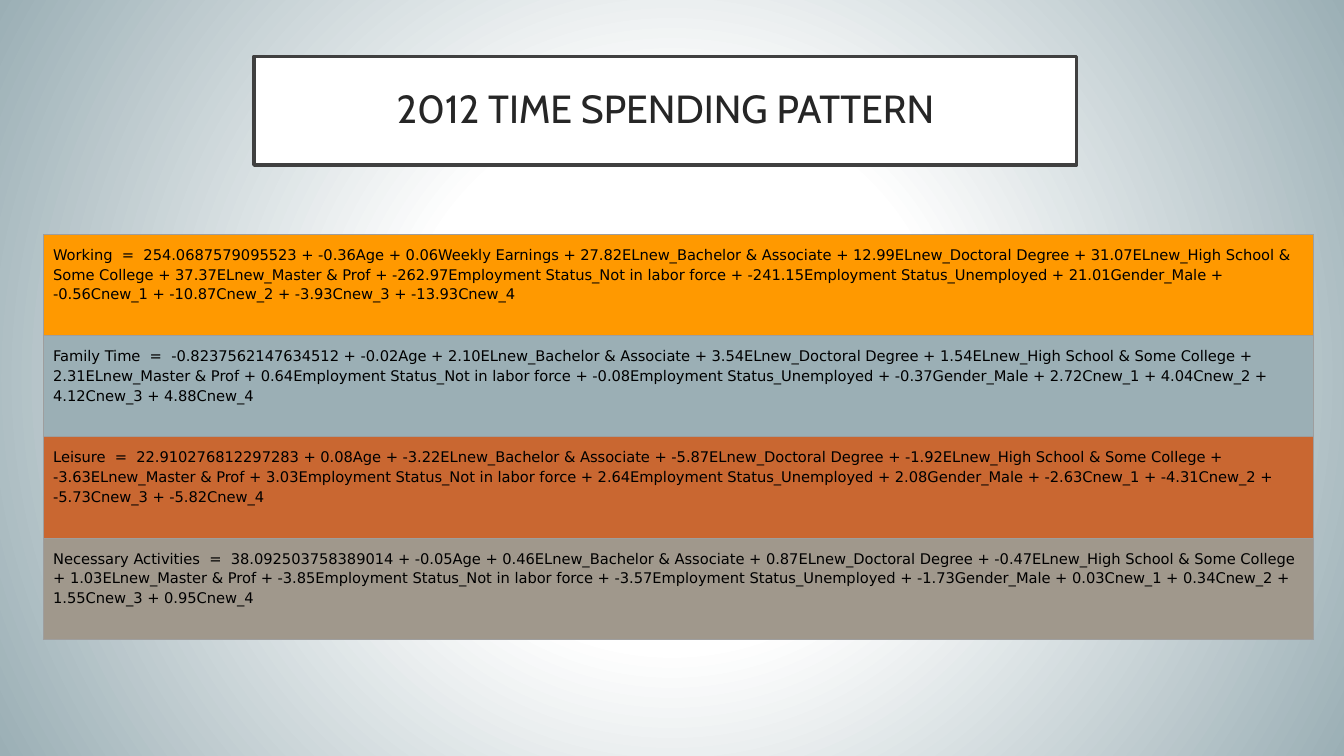
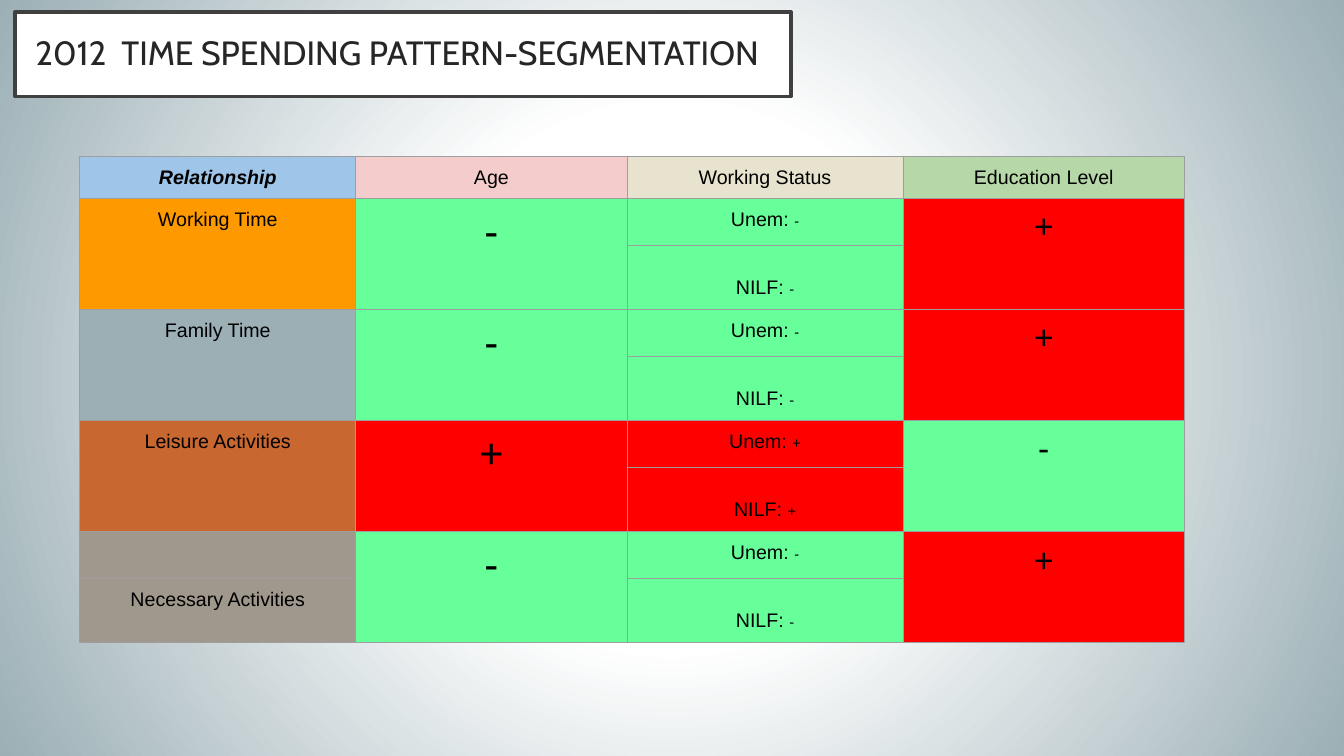
from lxml import etree
from pptx import Presentation, util as u
from pptx.dml.color import RGBColor
from pptx.enum import text
from pptx.oxml import parse_xml
from pptx.oxml.ns import nsdecls, qn

WHITE, BLACK, INK, FRAME, GRID = "FFFFFF", "000000", "262626", "404040", "9E9E9E"
ORANGE, MIST, RUST, STONE = "FF9900", "9BAFB5", "C96731", "A0988C"
SIGN_FILLS = {"-": "66FF99", "+": "FF0000"}
CENTER, LEFT = text.PP_ALIGN.CENTER, text.PP_ALIGN.LEFT
NILF_TOP = u.Cm(0.79)

EQUATIONS = [
    ("Working  =  254.0687579095523 + -0.36Age + 0.06Weekly Earnings + "
     "27.82ELnew_Bachelor & Associate + 12.99ELnew_Doctoral Degree + "
     "31.07ELnew_High School & Some College + 37.37ELnew_Master & Prof + "
     "-262.97Employment Status_Not in labor force + -241.15Employment Status_Unemployed + "
     "21.01Gender_Male + -0.56Cnew_1 + -10.87Cnew_2 + -3.93Cnew_3 + -13.93Cnew_4", ORANGE),
    ("Family Time  =  -0.8237562147634512 + -0.02Age + "
     "2.10ELnew_Bachelor & Associate + 3.54ELnew_Doctoral Degree + "
     "1.54ELnew_High School & Some College + 2.31ELnew_Master & Prof + "
     "0.64Employment Status_Not in labor force + -0.08Employment Status_Unemployed + "
     "-0.37Gender_Male + 2.72Cnew_1 + 4.04Cnew_2 + 4.12Cnew_3 + 4.88Cnew_4", MIST),
    ("Leisure  =  22.910276812297283 + 0.08Age + "
     "-3.22ELnew_Bachelor & Associate + -5.87ELnew_Doctoral Degree + "
     "-1.92ELnew_High School & Some College + -3.63ELnew_Master & Prof + "
     "3.03Employment Status_Not in labor force + 2.64Employment Status_Unemployed + "
     "2.08Gender_Male + -2.63Cnew_1 + -4.31Cnew_2 + -5.73Cnew_3 + -5.82Cnew_4", RUST),
    ("Necessary Activities  =  38.092503758389014 + -0.05Age + "
     "0.46ELnew_Bachelor & Associate + 0.87ELnew_Doctoral Degree + "
     "-0.47ELnew_High School & Some College + 1.03ELnew_Master & Prof + "
     "-3.85Employment Status_Not in labor force + -3.57Employment Status_Unemployed + "
     "-1.73Gender_Male + 0.03Cnew_1 + 0.34Cnew_2 + 1.55Cnew_3 + 0.95Cnew_4", STONE),
]
HEADERS = [("Relationship", "9FC5E8"), ("Age", "F4CCCC"),
           ("Working Status", "E8E3CE"), ("Education Level", "B6D7A8")]
# activity, fill, then the signs for age, working status and education
ACTIVITIES = [("Working Time", ORANGE, "-", "-", "+"),
              ("Family Time", MIST, "-", "-", "+"),
              ("Leisure Activities", RUST, "+", "+", "-"),
              ("Necessary Activities", STONE, "-", "-", "+")]


def color(value):
    return RGBColor.from_string(value)


def apply(target, values):
    for name, value in values.items():
        setattr(target, name, value)


class Slides:
    """Holds the deck, its shared style and the current slide."""

    title_frame = dict(dict.fromkeys(
        ("margin_left", "margin_right", "margin_top", "margin_bottom"), u.Cm(0.51)),
        vertical_anchor=text.MSO_ANCHOR.MIDDLE, word_wrap=True,
        auto_size=text.MSO_AUTO_SIZE.NONE)
    cell_margins = dict.fromkeys(
        ("margin_left", "margin_right", "margin_top", "margin_bottom"), u.Cm(0.25))

    def __init__(self):
        self.deck = Presentation()
        apply(self.deck, {"slide_width": u.Cm(33.87), "slide_height": u.Cm(19.05)})
        self.page = None
        self.set_background()

    def set_background(self):
        """Give the master a white centre that fades outwards to blue grey."""
        master = self.deck.slide_master
        master.background.fill.solid()
        stops = "".join(
            f'<a:gs pos="{place * 1000}"><a:srgbClr val="{value}"/></a:gs>'
            for place, value in ((0, WHITE), (35, WHITE), (100, MIST)))
        gradient = parse_xml(
            f'<a:gradFill {nsdecls("a")} rotWithShape="1"><a:gsLst>{stops}</a:gsLst>'
            '<a:path path="circle"><a:fillToRect l="50000" t="50000" r="50000" b="50000"/>'
            '</a:path></a:gradFill>')
        properties = master.element.find(".//" + qn("p:bgPr"))
        properties.replace(properties[0], gradient)

    def add_page(self):
        self.page = self.deck.slides.add_slide(self.deck.slide_layouts[5])

    def add_span(self, para, words, size, font="Arial", ink=BLACK, **style):
        span = para.add_run()
        span.text = words
        apply(span.font, dict(style, size=u.Pt(size), name=font))
        span.font.color.rgb = color(ink)

    def title(self, words, left, top, width, height, size, align):
        box = self.page.shapes.title
        apply(box, {"left": u.Cm(left), "top": u.Cm(top),
                    "width": u.Cm(width), "height": u.Cm(height)})
        box.fill.solid()
        box.fill.fore_color.rgb = color(WHITE)
        box.line.color.rgb = color(FRAME)
        box.line.width = u.Pt(2.5)
        apply(box.text_frame, self.title_frame)
        para = box.text_frame.paragraphs[0]
        apply(para, {"alignment": align, "line_spacing": 0.9})
        self.add_span(para, words, size, "Cabin", INK)

    def table(self, left, top, widths, heights):
        frame = self.page.shapes.add_table(
            len(heights), len(widths), u.Cm(left), u.Cm(top),
            u.Cm(sum(widths)), u.Cm(sum(heights)))
        grid = frame.table
        for column, width in zip(grid.columns, widths):
            column.width = u.Cm(width)
        for row, height in zip(grid.rows, heights):
            row.height = u.Cm(height)
        for cell in grid.iter_cells():
            self.outline(cell)
        return grid

    def outline(self, cell):
        properties = cell._tc.get_or_add_tcPr()
        for side in ("lnL", "lnR", "lnT", "lnB"):
            line = etree.SubElement(properties, qn("a:" + side), w=str(u.Pt(0.75)))
            fill = etree.SubElement(line, qn("a:solidFill"))
            etree.SubElement(fill, qn("a:srgbClr"), val=GRID)

    def cell(self, cell, fill, spans=(), align=CENTER, spacing=None, **margins):
        """Fill a cell; each span is a dict of arguments for add_span."""
        cell.fill.solid()
        cell.fill.fore_color.rgb = color(fill)
        apply(cell, dict(self.cell_margins, **margins))
        para = cell.text_frame.paragraphs[0]
        apply(para, {"alignment": align, "line_spacing": spacing})
        for span in spans:
            self.add_span(para, **span)


def equations_page(slides):
    slides.add_page()
    slides.title("2012 TIME SPENDING PATTERN", 6.4, 1.42, 20.73, 2.74, 28, CENTER)
    grid = slides.table(1.09, 5.91, [8] * 4, [2.55] * len(EQUATIONS))
    for row, (equation, fill) in enumerate(EQUATIONS):
        grid.cell(row, 0).merge(grid.cell(row, 3))
        slides.cell(grid.cell(row, 0), fill,
                    [dict(words=equation, size=10.5, font="DejaVu Sans")], LEFT, 1.15)


def segmentation_page(slides):
    slides.add_page()
    slides.title("2012  TIME SPENDING PATTERN-SEGMENTATION", 0.38, 0.3, 19.56, 2.13, 24, LEFT)
    grid = slides.table(2.01, 3.94, [6.96, 6.83, 6.96, 7.09],
                        [1.06] + [1.18, 1.62] * len(ACTIVITIES))
    for column, (header, fill) in enumerate(HEADERS):
        first = column == 0
        slides.cell(grid.cell(0, column), fill,
                    [dict(words=header, size=14, bold=first, italic=first)])

    for index, (activity, fill, age, status, education) in enumerate(ACTIVITIES):
        top = 1 + 2 * index
        label = [dict(words=activity, size=14)]
        if index == len(ACTIVITIES) - 1:
            slides.cell(grid.cell(top, 0), fill, margin_top=0, margin_bottom=0)
            slides.cell(grid.cell(top + 1, 0), fill, label)
        else:
            grid.cell(top, 0).merge(grid.cell(top + 1, 0))
            slides.cell(grid.cell(top, 0), fill, label)
        for column, sign, size in ((1, age, 30), (3, education, 24)):
            grid.cell(top, column).merge(grid.cell(top + 1, column))
            slides.cell(grid.cell(top, column), SIGN_FILLS[sign],
                        [dict(words=sign, size=size)])
        for row, group, margin in ((top, "Unem: ", u.Cm(0.25)), (top + 1, "NILF: ", NILF_TOP)):
            slides.cell(grid.cell(row, 2), SIGN_FILLS[status],
                        [dict(words=group, size=14), dict(words=status, size=10.5)],
                        margin_top=margin)


def main():
    slides = Slides()
    equations_page(slides)
    segmentation_page(slides)
    slides.deck.save("out.pptx")


if __name__ == "__main__":
    main()
